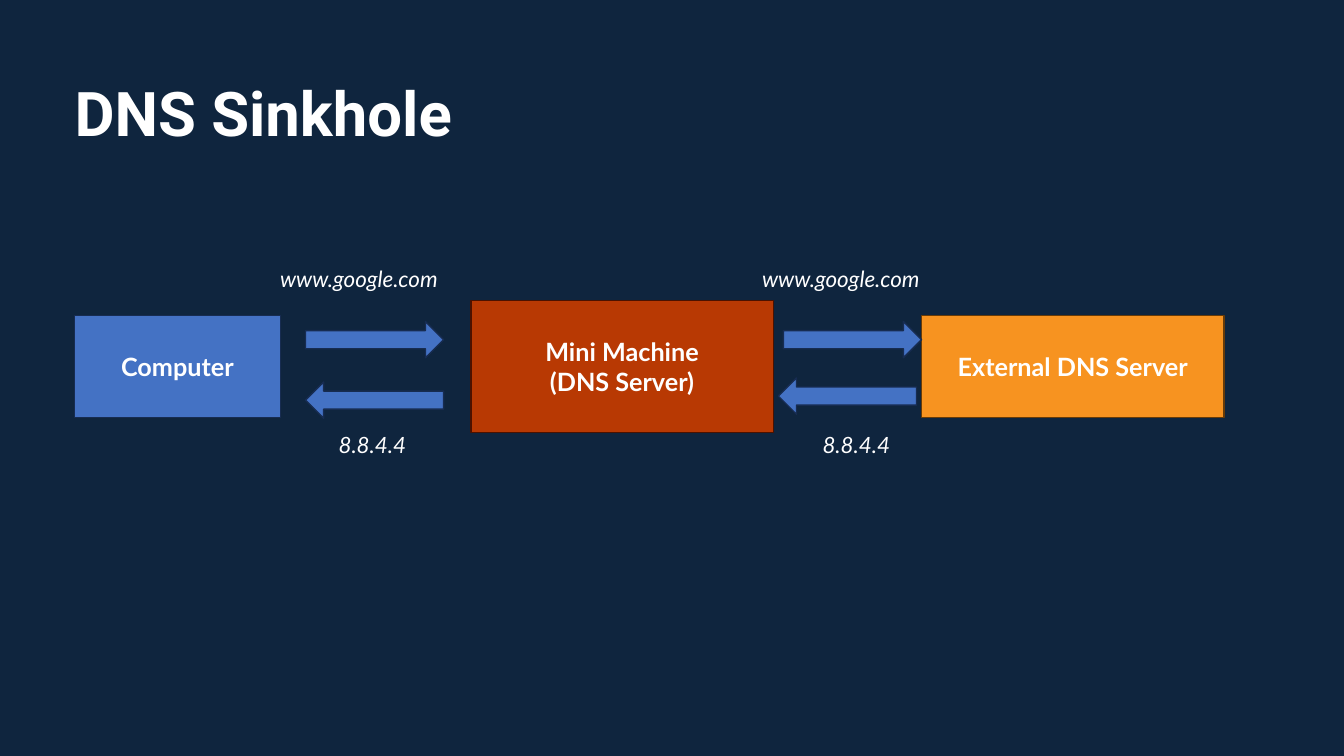
from pptx import Presentation
from pptx.dml.color import RGBColor
from pptx.enum.shapes import MSO_SHAPE
from pptx.enum.text import MSO_ANCHOR, PP_ALIGN
from pptx.util import Inches, Pt

RECT = MSO_SHAPE.RECTANGLE
RIGHT = MSO_SHAPE.RIGHT_ARROW
LEFT = MSO_SHAPE.LEFT_ARROW
MIDDLE = MSO_ANCHOR.MIDDLE
CENTER = PP_ALIGN.CENTER

NAVY = RGBColor(0x0F, 0x25, 0x3E)
WHITE = RGBColor(0xFF, 0xFF, 0xFF)
BLUE = RGBColor(0x44, 0x72, 0xC4)
BLUE_EDGE = RGBColor(0x17, 0x2C, 0x51)
RUST = RGBColor(0xB8, 0x39, 0x03)
RUST_EDGE = RGBColor(0x4C, 0x12, 0x00)
ORANGE = RGBColor(0xF7, 0x93, 0x20)
ORANGE_EDGE = RGBColor(0x68, 0x3B, 0x07)


class Diagram:
    heading_font = "Roboto"
    body_font = "Lato"

    def __init__(self, prs):
        self.s = prs.slides.add_slide(prs.slide_layouts[5])
        fill = self.s.background.fill
        fill.solid()
        fill.fore_color.rgb = NAVY

    def style(self, p, font, size, bold=False, italic=False):
        for r in p.runs:
            r.font.name = font
            r.font.size = Pt(size)
            r.font.bold = bold
            r.font.italic = italic
            r.font.color.rgb = WHITE

    def title(self, text, x, y, w, h):
        sp = self.s.shapes.title
        sp.left, sp.top, sp.width, sp.height = map(Inches, (x, y, w, h))
        tf = sp.text_frame
        tf.text = text
        tf.vertical_anchor = MIDDLE
        p = tf.paragraphs[0]
        p.alignment = PP_ALIGN.LEFT
        p.line_spacing = 0.9
        self.style(p, self.heading_font, 44, bold=True)

    def shape(self, kind, x, y, w, h, color, edge):
        sp = self.s.shapes.add_shape(kind, *map(Inches, (x, y, w, h)))
        sp.shadow.inherit = False
        sp.fill.solid()
        sp.fill.fore_color.rgb = color
        sp.line.color.rgb = edge
        sp.line.width = Pt(1)
        return sp

    def node(self, text, x, y, w, h, color, edge):
        tf = self.shape(RECT, x, y, w, h, color, edge).text_frame
        tf.text = text
        tf.word_wrap = True
        tf.vertical_anchor = MIDDLE
        for p in tf.paragraphs:
            p.alignment = CENTER
            self.style(p, self.body_font, 18, bold=True)

    def arrow(self, kind, x, y):
        self.shape(kind, x, y, 1.37, 0.36, BLUE, BLUE_EDGE)

    def label(self, text, x, y):
        sp = self.s.shapes.add_textbox(*map(Inches, (x, y, 2.3, 0.37)))
        tf = sp.text_frame
        tf.text = text
        tf.word_wrap = True
        self.style(tf.paragraphs[0], self.body_font, 16, italic=True)


def main():
    prs = Presentation()
    prs.slide_width = Inches(13.33)
    prs.slide_height = Inches(7.5)

    d = Diagram(prs)
    d.title("DNS Sinkhole", 0.64, 0.55, 11.5, 1.22)
    d.node("Computer", 0.74, 3.13, 2.04, 1.01, BLUE, BLUE_EDGE)
    d.node("Mini Machine\n(DNS Server)", 4.67, 2.98, 3, 1.31, RUST, RUST_EDGE)
    d.node("External DNS Server", 9.14, 3.13, 3, 1.01, ORANGE, ORANGE_EDGE)

    for query_x, reply_x, reply_y, address_x, ip_x in (
        (3.03, 3.03, 3.79, 2.68, 3.26),
        (7.77, 7.72, 3.75, 7.46, 8.06),
    ):
        d.arrow(RIGHT, query_x, 3.19)
        d.label("www.google.com", address_x, 2.58)
        d.arrow(LEFT, reply_x, reply_y)
        d.label("8.8.4.4", ip_x, 4.23)

    prs.save("out.pptx")


if __name__ == "__main__":
    main()
